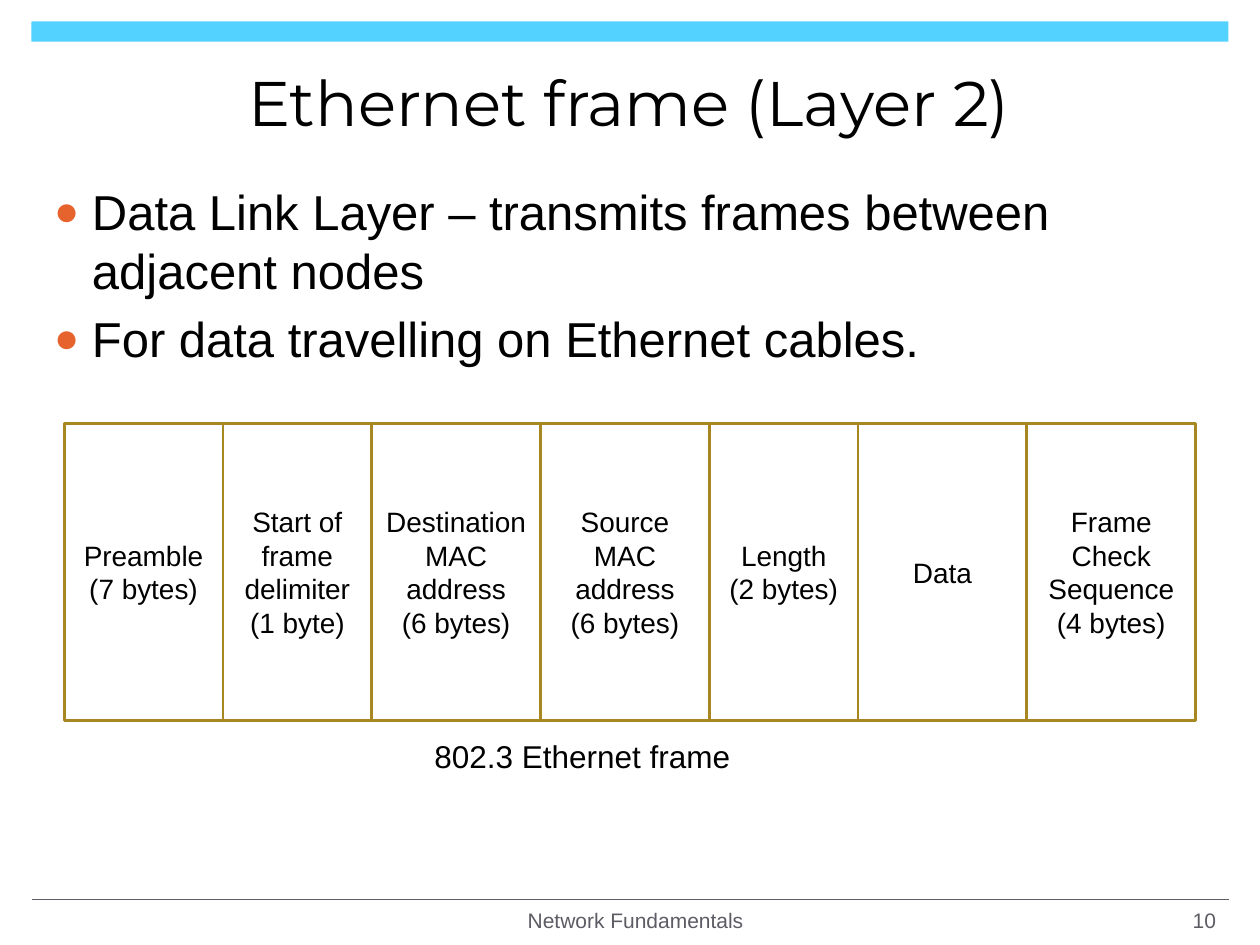
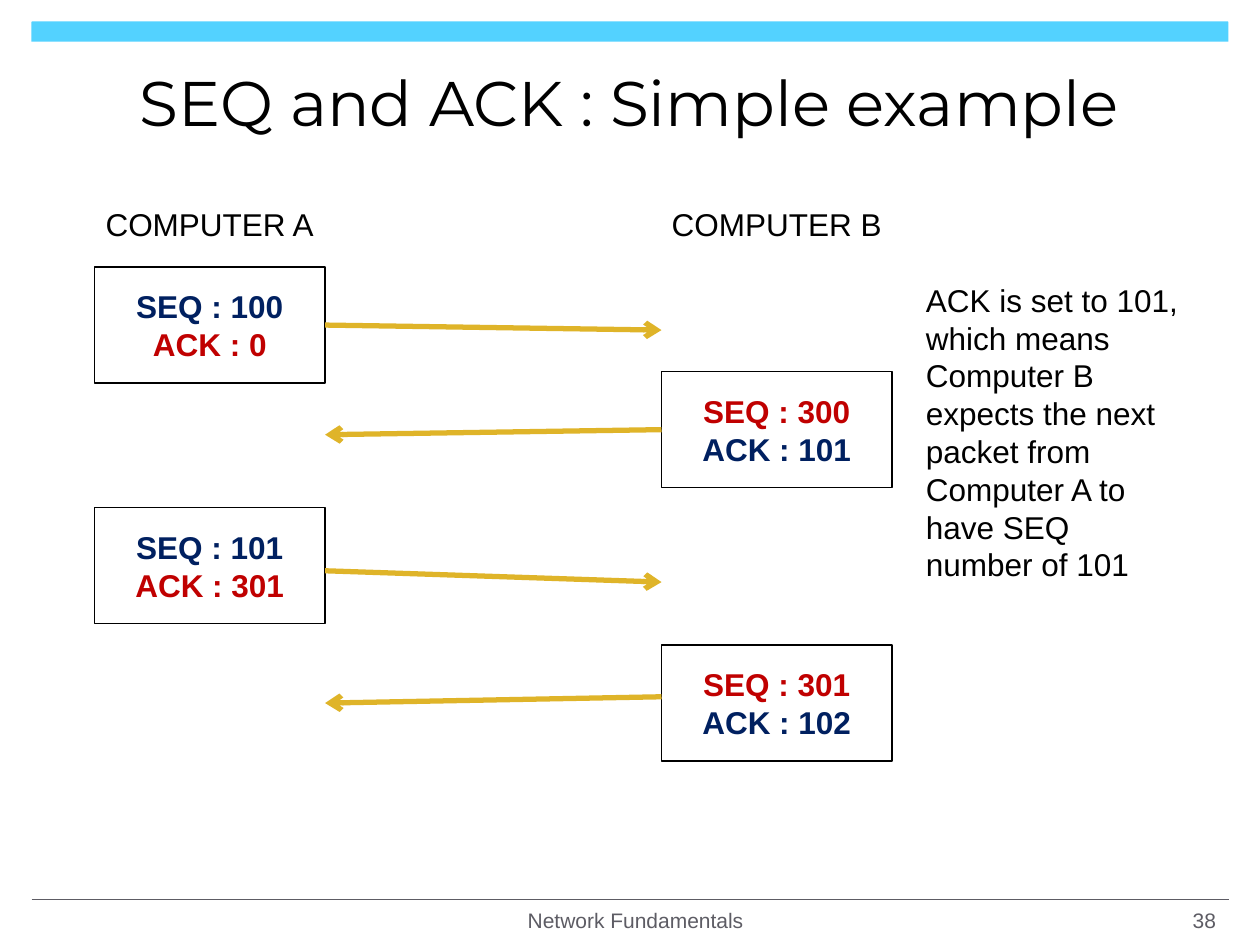
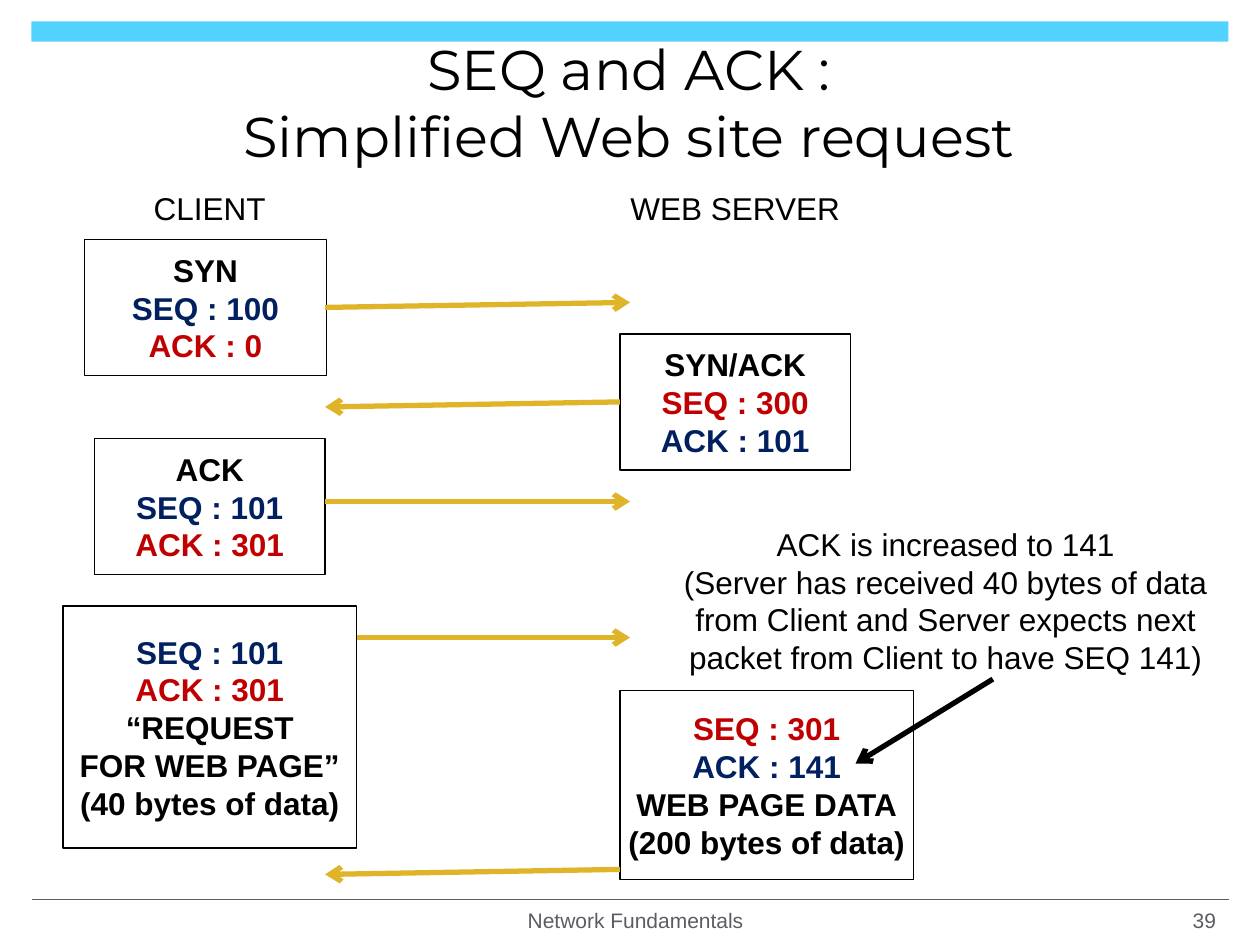
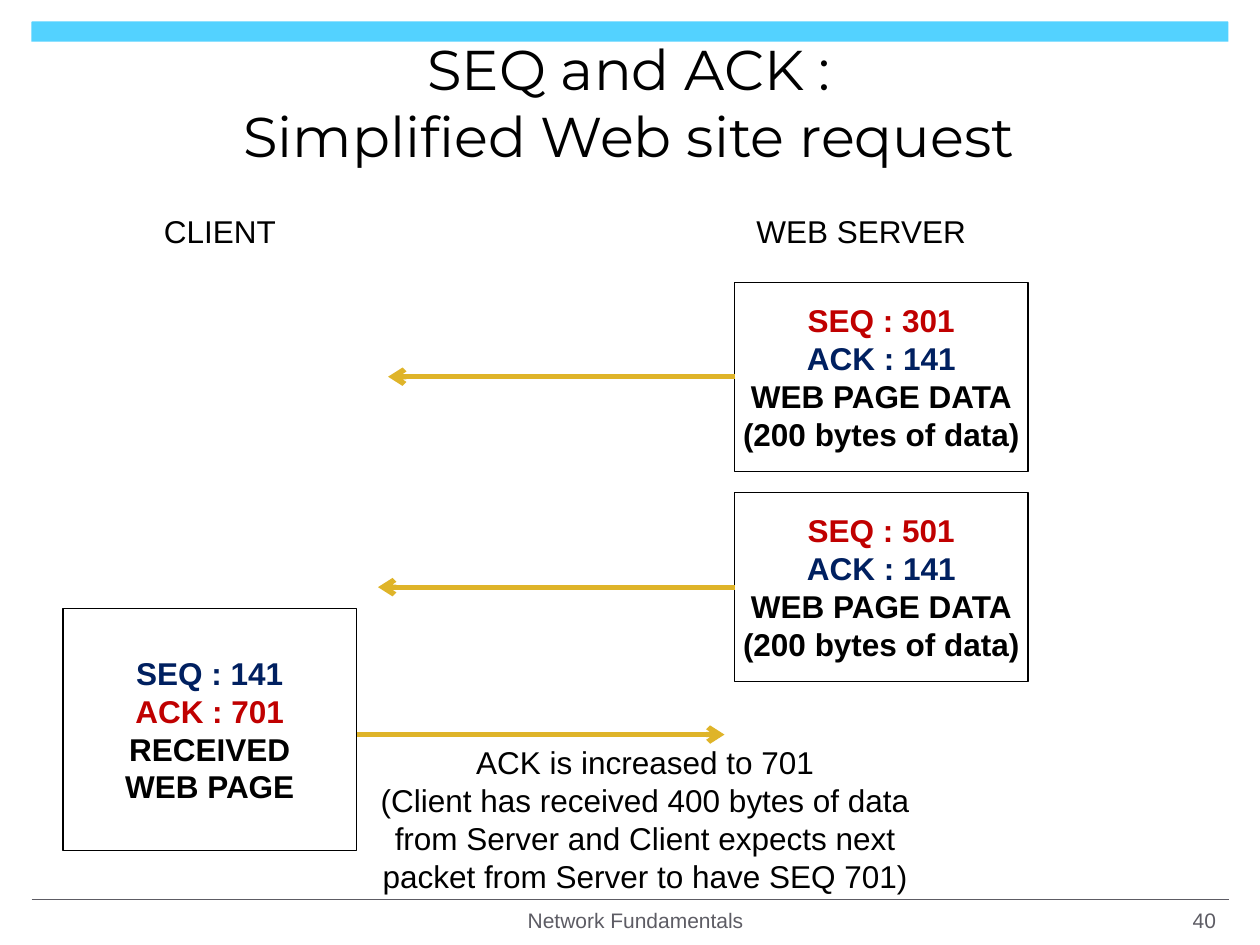
"""Build four network fundamentals slides on Ethernet frames and SEQ/ACK exchanges."""

from dataclasses import dataclass
from typing import Optional

from lxml import etree
from pptx import Presentation
from pptx.dml.color import RGBColor
from pptx.enum.shapes import MSO_CONNECTOR, MSO_SHAPE
from pptx.enum.text import MSO_ANCHOR, MSO_AUTO_SIZE, PP_ALIGN
from pptx.oxml.ns import qn
from pptx.presentation import Presentation as Deck
from pptx.shapes.autoshape import Shape
from pptx.slide import Slide
from pptx.text.text import TextFrame
from pptx.util import Inches, Pt

BLACK = RGBColor(0x00, 0x00, 0x00)
SKY = RGBColor(0x53, 0xD2, 0xFF)
GREY = RGBColor(0x5D, 0x5C, 0x64)
ORANGE = RGBColor(0xE6, 0x63, 0x2E)
BRONZE = RGBColor(0xA6, 0x87, 0x22)
GOLD = RGBColor(0xDF, 0xB4, 0x29)
NAVY = RGBColor(0x00, 0x20, 0x60)
RED = RGBColor(0xC0, 0x00, 0x00)

TITLE_FONT = "Montserrat"
BODY_FONT = "Arial"
TITLE_ONLY, TITLE_AND_BODY = 5, 1
FRAME_LEFT, FRAME_TOP, FRAME_HEIGHT = 0.51, 3.36, 2.36
WEB_TITLE = "SEQ and ACK :\vSimplified Web site request"
PAGE_DATA = ("WEB PAGE DATA", "(200 bytes of data)")


@dataclass(frozen=True)
class Area:
    left: float
    top: float
    width: float
    height: float


@dataclass(frozen=True)
class Label:
    area: Area
    lines: tuple[str, ...]
    align: PP_ALIGN = PP_ALIGN.CENTER
    anchor: MSO_ANCHOR = MSO_ANCHOR.MIDDLE
    wrap: bool = False
    size: float = 18
    color: RGBColor = BLACK


@dataclass(frozen=True)
class Packet:
    area: Area
    lines: tuple[str, ...]
    from_client: bool


@dataclass(frozen=True)
class Arrow:
    start: tuple[float, float]
    end: tuple[float, float]
    color: RGBColor = GOLD


@dataclass(frozen=True)
class Field:
    width: float
    lines: tuple[str, ...]


@dataclass(frozen=True)
class Exchange:
    title: str
    title_size: float
    number: int
    labels: tuple[Label, ...]
    packets: tuple[Packet, ...]
    arrows: tuple[Arrow, ...]


FIELDS = (
    Field(1.26, ("Preamble", "(7 bytes)")),
    Field(1.18, ("Start of frame delimiter", "(1 byte)")),
    Field(1.34, ("Destination MAC address", "(6 bytes)")),
    Field(1.34, ("Source MAC address", "(6 bytes)")),
    Field(1.18, ("Length", "(2 bytes)")),
    Field(1.34, ("Data",)),
    Field(1.34, ("Frame Check Sequence (4 bytes)",)),
)

EXCHANGES = (
    Exchange(
        "SEQ and ACK : Simple example", 36, 38,
        (
            Label(Area(7.25, 2.18, 2.25, 2.52),
                  ("ACK is set to 101, which means Computer B expects the next packet "
                   "from Computer A to have SEQ number of 101",),
                  PP_ALIGN.LEFT, MSO_ANCHOR.TOP, True),
            Label(Area(0.75, 1.53, 1.83, 0.5), ("COMPUTER A",)),
            Label(Area(5.25, 1.53, 1.83, 0.5), ("COMPUTER B",)),
        ),
        (
            Packet(Area(0.75, 2.12, 1.83, 0.92), ("SEQ : 100", "ACK : 0"), True),
            Packet(Area(5.25, 2.95, 1.83, 0.92), ("SEQ : 300", "ACK : 101"), False),
            Packet(Area(0.75, 4.03, 1.83, 0.92), ("SEQ : 101", "ACK : 301"), True),
            Packet(Area(5.25, 5.12, 1.83, 0.92), ("SEQ : 301", "ACK : 102"), False),
        ),
        (
            Arrow((2.58, 2.58), (5.25, 2.62)),
            Arrow((5.25, 3.41), (2.58, 3.45)),
            Arrow((2.58, 4.53), (5.25, 4.62)),
            Arrow((5.25, 5.53), (2.58, 5.58)),
        ),
    ),
    Exchange(
        WEB_TITLE, 32, 39,
        (
            Label(Area(0.75, 1.4, 1.83, 0.5), ("CLIENT",)),
            Label(Area(4.92, 1.4, 1.83, 0.5), ("WEB SERVER",)),
            Label(Area(5.31, 4.14, 4.39, 1.25),
                  ("ACK is increased to 141",
                   "(Server has received 40 bytes of data from Client and Server "
                   "expects next packet from Client to have SEQ 141)"), wrap=True),
        ),
        (
            Packet(Area(0.67, 1.9, 1.92, 1.08), ("SYN", "SEQ : 100", "ACK : 0"), True),
            Packet(Area(4.92, 2.65, 1.83, 1.08),
                   ("SYN/ACK", "SEQ : 300", "ACK : 101"), False),
            Packet(Area(0.75, 3.48, 1.83, 1.08), ("ACK", "SEQ : 101", "ACK : 301"), True),
            Packet(Area(0.5, 4.81, 2.33, 1.92),
                   ("SEQ : 101", "ACK : 301", "“REQUEST", "FOR WEB PAGE”",
                    "(40 bytes of data)"), True),
            Packet(Area(4.92, 5.48, 2.33, 1.5),
                   ("SEQ : 301", "ACK : 141", *PAGE_DATA), False),
        ),
        (
            Arrow((2.58, 2.44), (5, 2.4)),
            Arrow((4.92, 3.19), (2.58, 3.23)),
            Arrow((2.58, 3.98), (5, 3.98)),
            Arrow((2.83, 5.06), (5, 5.06)),
            Arrow((4.92, 6.9), (2.58, 6.94)),
            Arrow((7.88, 5.39), (6.79, 6.06), BLACK),
        ),
    ),
    Exchange(
        WEB_TITLE, 32, 40,
        (
            Label(Area(0.83, 1.58, 1.83, 0.5), ("CLIENT",)),
            Label(Area(5.92, 1.58, 1.83, 0.5), ("WEB SERVER",)),
            Label(Area(2.83, 5.96, 4.58, 1.08),
                  ("ACK is increased to 701",
                   "(Client has received 400 bytes of data from Server and Client "
                   "expects next packet from Server to have SEQ 701)"), wrap=True),
        ),
        (
            Packet(Area(5.83, 2.24, 2.33, 1.5),
                   ("SEQ : 301", "ACK : 141", *PAGE_DATA), False),
            Packet(Area(5.83, 3.91, 2.33, 1.5),
                   ("SEQ : 501", "ACK : 141", *PAGE_DATA), False),
            Packet(Area(0.5, 4.83, 2.33, 1.92),
                   ("SEQ : 141", "ACK : 701", "RECEIVED", "WEB PAGE"), True),
        ),
        (
            Arrow((5.83, 2.99), (3.08, 2.99)),
            Arrow((5.83, 4.66), (3, 4.66)),
            Arrow((2.83, 5.83), (5.75, 5.83)),
        ),
    ),
)


def emu(area: Area) -> tuple[Inches, ...]:
    """Return the left, top, width and height of an area as lengths."""
    return tuple(Inches(n) for n in (area.left, area.top, area.width, area.height))


def place(shape: Shape, area: Area) -> None:
    """Move and size a placeholder."""
    shape.left, shape.top, shape.width, shape.height = emu(area)


def write(frame: TextFrame, lines: tuple[str, ...], size: float,
          align: PP_ALIGN = PP_ALIGN.CENTER, anchor: MSO_ANCHOR = MSO_ANCHOR.MIDDLE,
          wrap: bool = True, font: str = BODY_FONT, color: RGBColor = BLACK) -> None:
    """Fill a text frame with one formatted paragraph per line."""
    frame.text = "\n".join(lines)
    frame.auto_size = MSO_AUTO_SIZE.NONE
    frame.word_wrap = wrap
    frame.vertical_anchor = anchor
    for para in frame.paragraphs:
        para.alignment = align
        para.font.name = font
        para.font.size = Pt(size)
        para.font.color.rgb = color


def add_label(page: Slide, label: Label) -> None:
    """Draw a plain text box."""
    box = page.shapes.add_textbox(*emu(label.area))
    write(box.text_frame, label.lines, label.size, label.align, label.anchor,
          label.wrap, color=label.color)


def add_box(page: Slide, area: Area, line: RGBColor, weight: float) -> Shape:
    """Draw an unfilled outlined rectangle."""
    box = page.shapes.add_shape(MSO_SHAPE.RECTANGLE, *emu(area))
    box.shadow.inherit = False
    box.fill.background()
    box.line.color.rgb = line
    box.line.width = Pt(weight)
    return box


def add_line(page: Slide, start: tuple[float, float], end: tuple[float, float],
             color: RGBColor, weight: float, arrowhead: bool = False) -> None:
    """Draw a straight line, with an open arrowhead at its end if wanted."""
    line = page.shapes.add_connector(
        MSO_CONNECTOR.STRAIGHT, *(Inches(n) for n in (*start, *end)))
    line.line.color.rgb = color
    line.line.width = Pt(weight)
    if arrowhead:
        etree.SubElement(line.line._get_or_add_ln(), qn("a:tailEnd"), type="arrow")
    etree.SubElement(line._element.spPr, qn("a:effectLst"))


def line_color(text: str, from_client: bool) -> RGBColor:
    """Colour the client's byte count navy and the server's red."""
    if text.startswith("SEQ :"):
        return NAVY if from_client else RED
    if text.startswith("ACK :"):
        return RED if from_client else NAVY
    return BLACK


def add_packet(page: Slide, packet: Packet) -> None:
    """Draw a packet with coloured sequence numbers."""
    frame = add_box(page, packet.area, BLACK, 0.75).text_frame
    write(frame, packet.lines, 18, wrap=False)
    for para, text in zip(frame.paragraphs, packet.lines):
        para.font.bold = True
        para.font.color.rgb = line_color(text, packet.from_client)


def add_page(deck: Deck, layout: int, title: str, size: float, number: int) -> Slide:
    """Add a slide with the shared band, title and footer."""
    page = deck.slides.add_slide(deck.slide_layouts[layout])
    place(page.shapes.title, Area(0.33, 0.3, 9.33, 1.01))
    write(page.shapes.title.text_frame, (title,), size, font=TITLE_FONT)
    band = page.shapes.add_shape(
        MSO_SHAPE.ROUND_2_SAME_RECTANGLE, *emu(Area(0.25, 0.17, 9.5, 0.16)))
    band.adjustments[0] = 0.05
    band.shadow.inherit = False
    band.fill.solid()
    band.fill.fore_color.rgb = SKY
    band.line.fill.background()
    add_line(page, (0.25, 7.14), (9.75, 7.14), GREY, 1)
    add_label(page, Label(Area(3.17, 7.13, 3.75, 0.35), ("Network Fundamentals",),
                          size=12, color=GREY))
    add_label(page, Label(Area(7.42, 7.13, 2.33, 0.35), (str(number),),
                          PP_ALIGN.RIGHT, wrap=True, size=12, color=GREY))
    return page


def add_bullets(body: Shape, lines: tuple[str, ...]) -> None:
    """Fill the body placeholder with orange-bulleted paragraphs."""
    place(body, Area(0.33, 1.39, 9.33, 5.61))
    write(body.text_frame, lines, 28, PP_ALIGN.LEFT, MSO_ANCHOR.TOP)
    for para in body.text_frame.paragraphs:
        props = para._p.get_or_add_pPr()
        props.set("marL", str(Inches(0.3)))
        props.set("indent", str(-Inches(0.3)))
        bullet_parts = [etree.Element(qn(tag)) for tag in ("a:buClr", "a:buSzPct", "a:buChar")]
        color, size, char = bullet_parts
        etree.SubElement(color, qn("a:srgbClr"), val=str(ORANGE))
        size.set("val", "85000")
        char.set("char", "●")
        for index, part in enumerate(bullet_parts):
            props.insert(index, part)


def build_frame_page(deck: Deck) -> None:
    """Build the slide on the fields of an Ethernet frame."""
    page = add_page(deck, TITLE_AND_BODY, "Ethernet frame (Layer 2)", 36, 10)
    add_bullets(page.placeholders[1], (
        "Data Link Layer – transmits frames between adjacent nodes",
        "For data travelling on Ethernet cables.",
    ))
    left = FRAME_LEFT
    for field in FIELDS:
        area = Area(left, FRAME_TOP, field.width, FRAME_HEIGHT)
        write(add_box(page, area, BRONZE, 1.5).text_frame, field.lines, 16)
        left += field.width
    add_label(page, Label(Area(3.35, 5.8, 2.57, 0.4), ("802.3 Ethernet frame",),
                          PP_ALIGN.LEFT, MSO_ANCHOR.TOP))


def build_exchange_page(deck: Deck, exchange: Exchange) -> None:
    """Build a slide on packets passing between two computers."""
    page = add_page(deck, TITLE_ONLY, exchange.title, exchange.title_size, exchange.number)
    for packet in exchange.packets:
        add_packet(page, packet)
    for label in exchange.labels:
        add_label(page, label)
    for arrow in exchange.arrows:
        add_line(page, arrow.start, arrow.end, arrow.color, 3, arrowhead=True)


def main() -> None:
    """Build and save the deck."""
    deck = Presentation()
    deck.slide_width, deck.slide_height = Inches(10), Inches(7.5)
    build_frame_page(deck)
    for exchange in EXCHANGES:
        build_exchange_page(deck, exchange)
    deck.save("out.pptx")


main()
